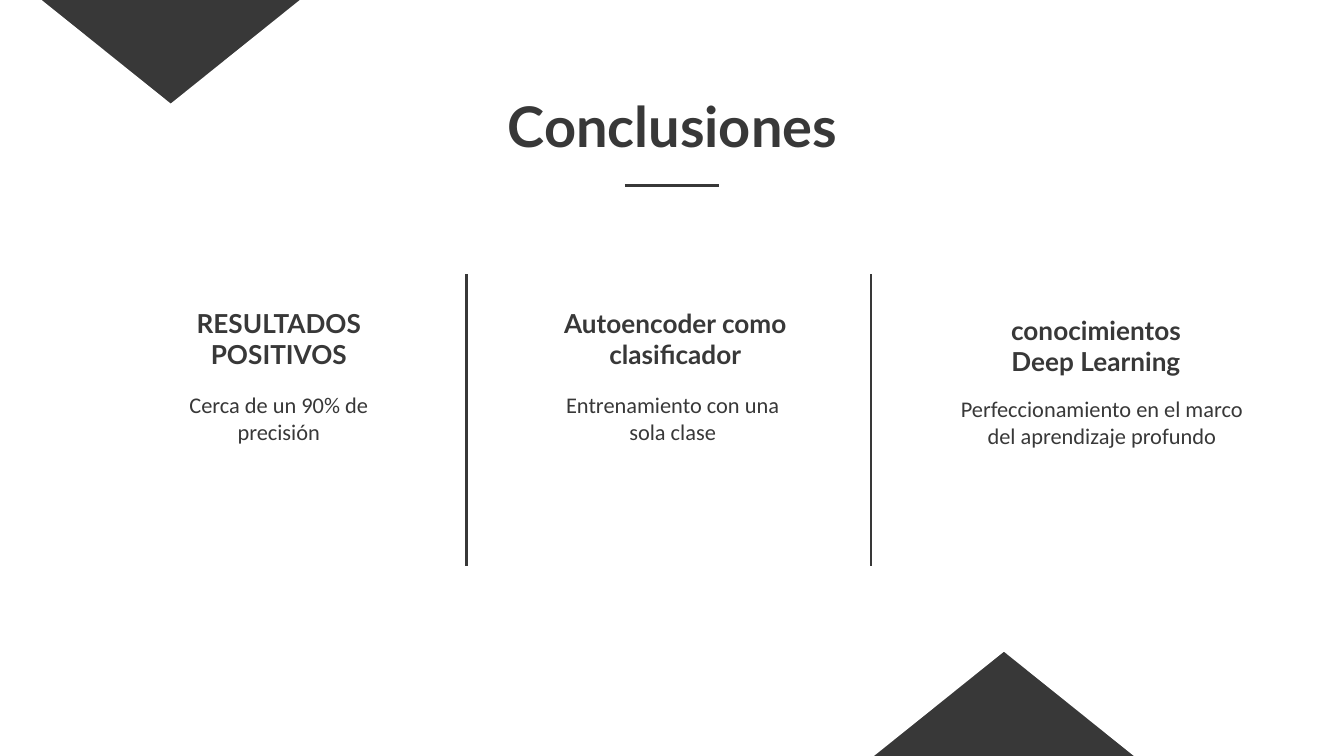
from dataclasses import dataclass

from lxml.etree import SubElement
from pptx import Presentation
from pptx.dml.color import RGBColor
from pptx.enum.shapes import MSO_CONNECTOR, MSO_SHAPE
from pptx.enum.text import MSO_ANCHOR, MSO_AUTO_SIZE, PP_ALIGN
from pptx.oxml.ns import qn
from pptx.shapes.base import BaseShape
from pptx.slide import Slide
from pptx.util import Pt

CHARCOAL = RGBColor(0x38, 0x38, 0x38)
WHITE = RGBColor(0xFF, 0xFF, 0xFF)
HEADING_FONT = "Lato"
BODY_FONT = "Calibri"
INSET = Pt(7.2)


@dataclass(frozen=True)
class Box:
    left: float
    top: float
    width: float
    height: float


@dataclass(frozen=True)
class Style:
    font: str
    size: float
    bold: bool
    anchor: MSO_ANCHOR


@dataclass(frozen=True)
class Conclusion:
    heading: str
    heading_box: Box
    body: str
    body_box: Box


@dataclass(frozen=True)
class Rule:
    x1: float
    y1: float
    x2: float
    y2: float


@dataclass(frozen=True)
class Corner:
    box: Box
    rotation: float


TITLE = Style(HEADING_FONT, 30, True, MSO_ANCHOR.TOP)
HEADING = Style(HEADING_FONT, 14, True, MSO_ANCHOR.MIDDLE)
BODY = Style(BODY_FONT, 12, False, MSO_ANCHOR.TOP)

TITLE_BOX = Box(133.2, 41.8, 454.3, 41.8)
CONCLUSIONS = [
    Conclusion("RESULTADOS POSITIVOS", Box(75.6, 160.6, 147.6, 41.8),
               "Cerca de un 90% de precisión", Box(85.7, 202.3, 127.4, 57.6)),
    Conclusion("Autoencoder como clasificador", Box(274.3, 160.6, 175, 41.8),
               "Entrenamiento con una sola clase", Box(294.5, 202.3, 131.8, 57.6)),
    Conclusion("conocimientos Deep Learning", Box(522, 161.3, 130.3, 47.5),
               "Perfeccionamiento en el marco del aprendizaje profundo",
               Box(501.8, 204.5, 177.1, 64.1)),
]
RULES = [Rule(334.8, 99.4, 385.2, 99.4)] + [
    Rule(x, 146.9, x, 303.1) for x in (249.8, 466.6)
]
CORNERS = [
    Corner(Box(446.4, 347.8, 182.9, 73.4), 0),
    Corner(Box(0, -16.6, 182.9, 73.4), 180),
]


def place(shape: BaseShape, box: Box) -> None:
    shape.left, shape.top = Pt(box.left), Pt(box.top)
    shape.width, shape.height = Pt(box.width), Pt(box.height)


def write_text(shape: BaseShape, text: str, style: Style) -> None:
    frame = shape.text_frame
    frame.text = text
    frame.word_wrap = True
    frame.auto_size = MSO_AUTO_SIZE.NONE
    frame.vertical_anchor = style.anchor
    frame.margin_left = frame.margin_right = INSET
    frame.margin_top = frame.margin_bottom = INSET
    for para in frame.paragraphs:
        para.alignment = PP_ALIGN.CENTER
        para.space_before = Pt(0)
        for span in para.runs:
            span.font.name = style.font
            span.font.size = Pt(style.size)
            span.font.bold = style.bold
            span.font.color.rgb = CHARCOAL


def add_text(page: Slide, box: Box, text: str, style: Style) -> None:
    shape = page.shapes.add_textbox(0, 0, 0, 0)
    place(shape, box)
    write_text(shape, text, style)


def add_rule(page: Slide, rule: Rule) -> None:
    line = page.shapes.add_connector(
        MSO_CONNECTOR.STRAIGHT, Pt(rule.x1), Pt(rule.y1), Pt(rule.x2), Pt(rule.y2))
    line.line.color.rgb = CHARCOAL
    line.line.width = Pt(1.5)
    SubElement(line._element.spPr, qn("a:effectLst"))


def add_corner(page: Slide, corner: Corner) -> None:
    triangle = page.shapes.add_shape(MSO_SHAPE.ISOSCELES_TRIANGLE, 0, 0, 0, 0)
    place(triangle, corner.box)
    triangle.rotation = corner.rotation
    triangle.shadow.inherit = False
    triangle.fill.solid()
    triangle.fill.fore_color.rgb = CHARCOAL
    triangle.line.color.rgb = WHITE
    triangle.line.width = Pt(2)


def main() -> None:
    deck = Presentation()
    deck.slide_width, deck.slide_height = Pt(720), Pt(405)
    page = deck.slides.add_slide(deck.slide_layouts[0])

    title, subtitle = page.placeholders
    place(title, TITLE_BOX)
    write_text(title, "Conclusiones", TITLE)

    *earlier, last = CONCLUSIONS
    for conclusion in CONCLUSIONS:
        add_text(page, conclusion.heading_box, conclusion.heading, HEADING)
    for conclusion in earlier:
        add_text(page, conclusion.body_box, conclusion.body, BODY)
    place(subtitle, last.body_box)
    write_text(subtitle, last.body, BODY)

    for rule in RULES:
        add_rule(page, rule)
    for corner in CORNERS:
        add_corner(page, corner)
    deck.save("out.pptx")


if __name__ == "__main__":
    main()
